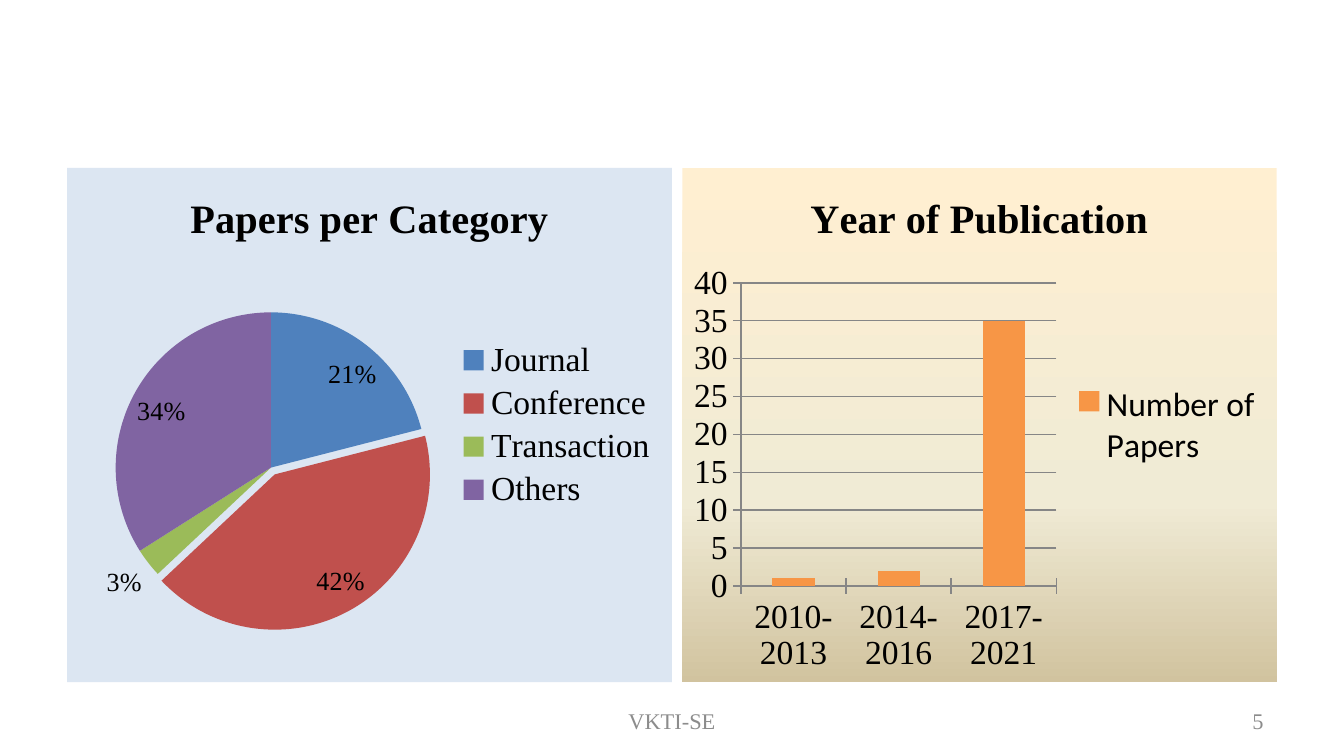
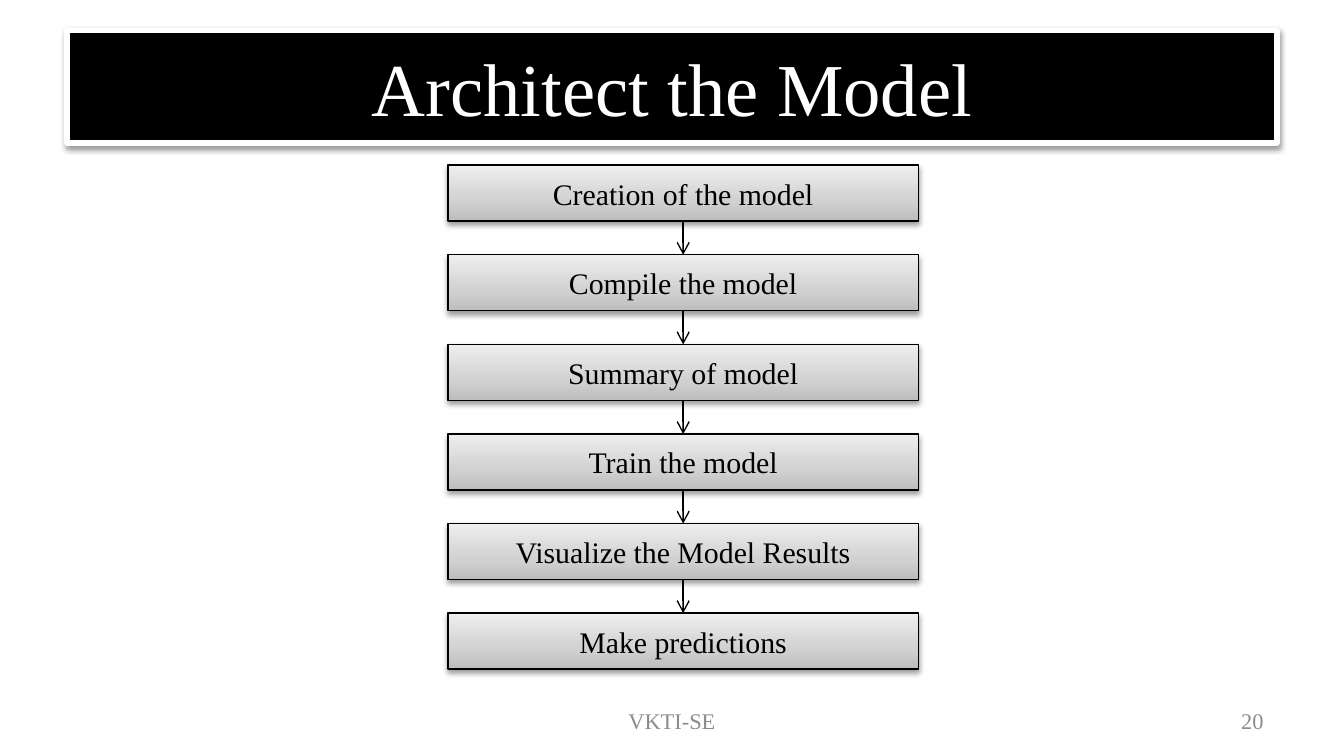
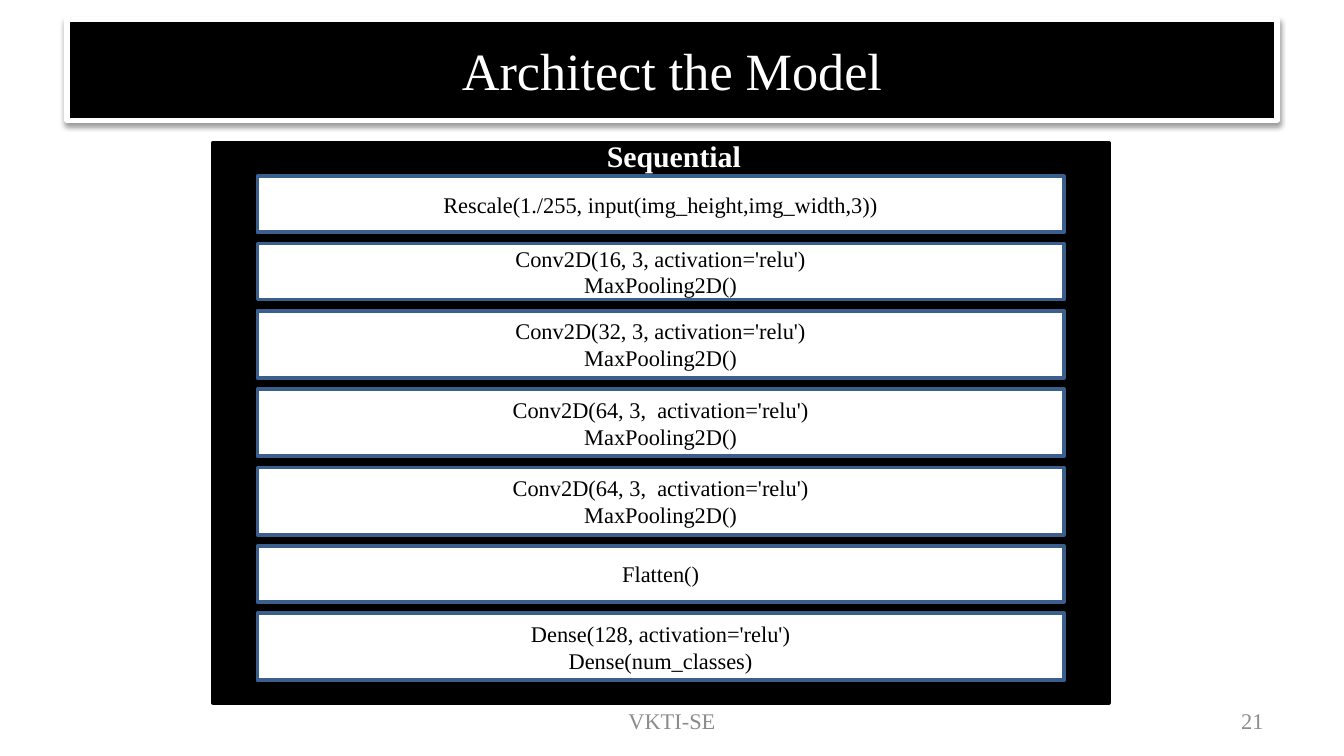
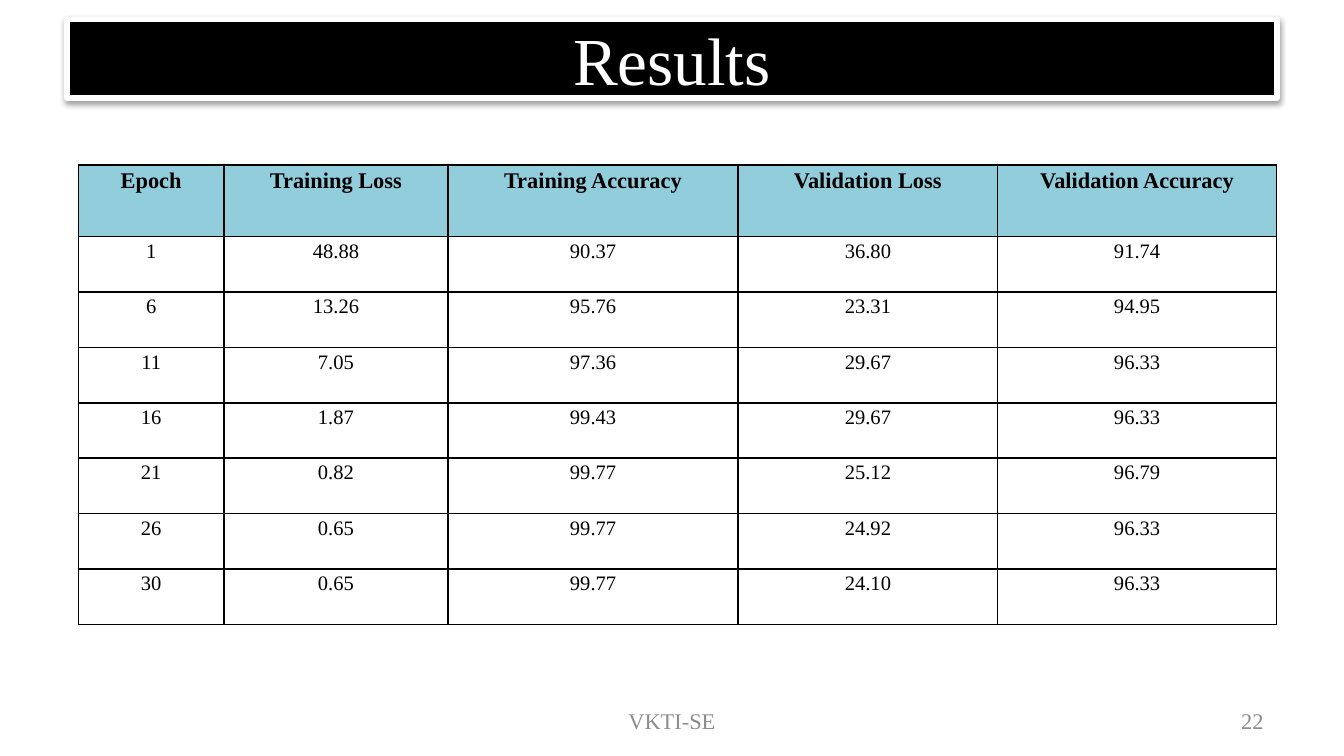
from typing import NamedTuple

from lxml.etree import SubElement
from pptx import Presentation
from pptx.chart.chart import Chart
from pptx.chart.data import CategoryChartData
from pptx.dml.color import RGBColor
from pptx.enum.chart import (XL_CHART_TYPE, XL_LABEL_POSITION,
                             XL_LEGEND_POSITION, XL_TICK_MARK)
from pptx.enum.shapes import MSO_CONNECTOR, MSO_SHAPE
from pptx.enum.text import MSO_ANCHOR, MSO_AUTO_SIZE, PP_ALIGN
from pptx.oxml import parse_xml
from pptx.oxml.ns import nsdecls, qn
from pptx.shapes.autoshape import Shape
from pptx.slide import Slide
from pptx.text.text import TextFrame
from pptx.util import Pt

SERIF = "Times New Roman"
SANS = "Calibri"
BLACK = "000000"
WHITE = "FFFFFF"
FOOTER_GREY = "8C8C8C"
AXIS_GREY = "868686"
LAYER_BLUE = "3A5F8C"
HEADER_BLUE = "92CDDC"
PIE_PANEL = "DCE6F2"
BAR_ORANGE = "F79646"
STEP_GRADIENT = [(0, "BDBDBD"), (35, "D1D1D1"), (100, "EEEEEE")]
YEAR_GRADIENT = [(0, "FFEFD1"), (65, "F0EBD5"), (100, "D1C39F")]
TITLE_ONLY, BLANK = 5, 6


class Box(NamedTuple):
    """A rectangle in points."""
    left: float
    top: float
    width: float
    height: float

    def lengths(self) -> list[Pt]:
        return [Pt(value) for value in self]


class Layer(NamedTuple):
    text: str
    height: float


class Share(NamedTuple):
    category: str
    percent: int
    color: str


FOOTER = Box(246, 375.25, 228, 21.5)
PAGE_NUMBER = Box(516, 375.25, 168, 21.5)

SHARES = [
    Share("Journal", 21, "4F81BD"),
    Share("Conference", 42, "C0504D"),
    Share("Transaction", 3, "9BBB59"),
    Share("Others", 34, "8064A2"),
]
PAPERS_BY_YEAR = {"2010-2013": 1, "2014-2016": 2, "2017-2021": 35}

STEPS = ["Creation of the model", "Compile the model", "Summary of model",
         "Train the model", "Visualize the Model Results", "Make predictions"]

LAYERS = [
    Layer("Rescale(1./255, input(img_height,img_width,3))", 30),
    Layer("Conv2D(16, 3, activation='relu')\nMaxPooling2D()", 30),
    Layer("Conv2D(32, 3, activation='relu')\nMaxPooling2D()", 36),
    Layer("Conv2D(64, 3,  activation='relu')\nMaxPooling2D()", 36),
    Layer("Conv2D(64, 3,  activation='relu')\nMaxPooling2D()", 36),
    Layer("Flatten()", 30),
    Layer("Dense(128, activation='relu')\nDense(num_classes)", 36),
]

RESULTS = [
    ("Epoch", "Training Loss", "Training Accuracy", "Validation Loss",
     "Validation Accuracy"),
    ("1", "48.88", "90.37", "36.80", "91.74"),
    ("6", "13.26", "95.76", "23.31", "94.95"),
    ("11", "7.05", "97.36", "29.67", "96.33"),
    ("16", "1.87", "99.43", "29.67", "96.33"),
    ("21", "0.82", "99.77", "25.12", "96.79"),
    ("26", "0.65", "99.77", "24.92", "96.33"),
    ("30", "0.65", "99.77", "24.10", "96.33"),
]
RESULT_WIDTHS = [78, 120, 155.5, 139, 149.5]
HEADER_HEIGHT, RESULT_HEIGHT = 38.25, 29.7


def rgb(color: str) -> RGBColor:
    return RGBColor.from_string(color)


def set_text(frame: TextFrame, text: str, *, size: float, color: str = BLACK,
             bold: bool = False, align: PP_ALIGN = PP_ALIGN.CENTER,
             anchor: MSO_ANCHOR = MSO_ANCHOR.MIDDLE, wrap: bool = True,
             spacing: float | None = None) -> None:
    frame.text = text
    frame.word_wrap = wrap
    frame.vertical_anchor = anchor
    for paragraph in frame.paragraphs:
        paragraph.alignment = align
        paragraph.line_spacing = spacing
        for run in paragraph.runs:
            run.font.name = SERIF
            run.font.size = Pt(size)
            run.font.bold = bold
            run.font.color.rgb = rgb(color)


def gradient_xml(stops: list[tuple[int, str]], angle: int) -> str:
    marks = "".join(
        f'<a:gs pos="{position * 1000}"><a:srgbClr val="{color}"/></a:gs>'
        for position, color in stops)
    return (f'<a:gradFill {nsdecls("a")} rotWithShape="1"><a:gsLst>{marks}</a:gsLst>'
            f'<a:lin ang="{angle * 60000}" scaled="0"/></a:gradFill>')


def solid_xml(color: str) -> str:
    return f'<a:solidFill {nsdecls("a")}><a:srgbClr val="{color}"/></a:solidFill>'


def style_shape(shape: Shape, fill: str, line: str, weight: float) -> None:
    shape.fill.solid()
    shape.fill.fore_color.rgb = rgb(fill)
    shape.line.color.rgb = rgb(line)
    shape.line.width = Pt(weight)
    shape.shadow.inherit = False


def cast_shadow(shape: Shape) -> None:
    effects = shape._element.spPr.find(qn("a:effectLst"))
    effects.append(parse_xml(
        f'<a:outerShdw {nsdecls("a")} blurRad="{Pt(3.1)}" dist="{Pt(1.6)}" '
        'dir="5400000" rotWithShape="0"><a:srgbClr val="000000">'
        '<a:alpha val="38000"/></a:srgbClr></a:outerShdw>'))


def add_box(slide: Slide, box: Box, fill: str, line: str, weight: float) -> Shape:
    shape = slide.shapes.add_shape(MSO_SHAPE.RECTANGLE, *box.lengths())
    style_shape(shape, fill, line, weight)
    return shape


def add_title(slide: Slide, text: str, box: Box, size: float) -> None:
    title = slide.shapes.title
    title.left, title.top, title.width, title.height = box.lengths()
    style_shape(title, BLACK, WHITE, 3)
    cast_shadow(title)
    set_text(title.text_frame, text, size=size, color=WHITE)
    title.text_frame.auto_size = MSO_AUTO_SIZE.NONE


def add_footer(slide: Slide, number: int) -> None:
    for box, text, align in ((FOOTER, "VKTI-SE", PP_ALIGN.CENTER),
                             (PAGE_NUMBER, str(number), PP_ALIGN.RIGHT)):
        footer = slide.shapes.add_textbox(*box.lengths())
        set_text(footer.text_frame, text, size=12, color=FOOTER_GREY, align=align)


def add_arrow(slide: Slide, upper: Shape, lower: Shape) -> None:
    """Join the bottom of one step to the top of the next."""
    arrow = slide.shapes.add_connector(MSO_CONNECTOR.STRAIGHT, 0, 0, 0, 0)
    arrow.begin_connect(upper, 2)
    arrow.end_connect(lower, 0)
    arrow.line.color.rgb = rgb(BLACK)
    arrow.line.width = Pt(0.75)
    SubElement(arrow.line._get_or_add_ln(), qn("a:tailEnd"), type="arrow")
    SubElement(arrow._element.spPr, qn("a:effectLst"))


def add_chart(slide: Slide, kind: XL_CHART_TYPE, box: Box, title: str, series: str,
              values: dict[str, int], panel_xml: str) -> Chart:
    data = CategoryChartData()
    data.categories = list(values)
    data.add_series(series, list(values.values()))
    chart = slide.shapes.add_chart(kind, *box.lengths(), data).chart
    chart.font.name = SANS
    chart.font.size = Pt(18)
    chart.font.color.rgb = rgb(BLACK)
    chart.has_title = True
    set_text(chart.chart_title.text_frame, title, size=21.6, bold=True)
    chart.chart_title.include_in_layout = False
    chart.has_legend = True
    chart.legend.position = XL_LEGEND_POSITION.RIGHT
    chart.legend.include_in_layout = False
    panel = parse_xml(f'<c:spPr {nsdecls("c", "a")}>{panel_xml}'
                      '<a:ln><a:noFill/></a:ln></c:spPr>')
    chart._chartSpace.find(qn("c:chart")).addnext(panel)
    return chart


def add_category_pie(slide: Slide) -> None:
    chart = add_chart(slide, XL_CHART_TYPE.PIE, Box(36, 90, 324, 275.5),
                      "Papers per Category", "Series 1",
                      {share.category: share.percent for share in SHARES},
                      solid_xml(PIE_PANEL))
    chart.legend.font.name = SERIF
    chart.legend.font.size = Pt(18)
    plot = chart.plots[0]
    plot.vary_by_categories = True
    for index, share in enumerate(SHARES):
        fill = plot.series[0].points[index].format.fill
        fill.solid()
        fill.fore_color.rgb = rgb(share.color)
    conference = plot.series[0]._element.findall(qn("c:dPt"))[1]
    conference.find(qn("c:spPr")).addprevious(
        parse_xml(f'<c:explosion {nsdecls("c")} val="5"/>'))
    labels = plot.series[0].data_labels
    labels.show_percentage = True
    labels.show_value = False
    labels.position = XL_LABEL_POSITION.BEST_FIT
    labels.font.name = SERIF
    labels.font.size = Pt(14)


def add_year_columns(slide: Slide) -> None:
    chart = add_chart(slide, XL_CHART_TYPE.COLUMN_CLUSTERED, Box(365.5, 90, 318.5, 275.5),
                      "Year of Publication", "Number of Papers", PAPERS_BY_YEAR,
                      gradient_xml(YEAR_GRADIENT, 90))
    plot = chart.plots[0]
    plot.vary_by_categories = False
    plot.gap_width = 150
    columns = plot.series[0].format.fill
    columns.solid()
    columns.fore_color.rgb = rgb(BAR_ORANGE)
    chart.value_axis.has_major_gridlines = True
    for axis in (chart.category_axis, chart.value_axis):
        axis.major_tick_mark = XL_TICK_MARK.CROSS
        axis.tick_labels.font.name = SERIF
        axis.tick_labels.font.size = Pt(18)
    for line in (chart.category_axis.format.line, chart.value_axis.format.line,
                 chart.value_axis.major_gridlines.format.line):
        line.color.rgb = rgb(AXIS_GREY)
        line.width = Pt(0.75)


def add_steps(slide: Slide) -> None:
    steps = []
    for index, text in enumerate(STEPS):
        step = add_box(slide, Box(240, 88.5 + 48 * index, 252, 30), WHITE, BLACK, 0.75)
        properties = step._element.spPr
        properties.replace(properties.find(qn("a:solidFill")),
                           parse_xml(gradient_xml(STEP_GRADIENT, 270)))
        cast_shadow(step)
        set_text(step.text_frame, text, size=16)
        steps.append(step)
    for upper, lower in zip(steps, steps[1:]):
        add_arrow(slide, upper, lower)


def add_layers(slide: Slide) -> None:
    add_box(slide, Box(114, 76.5, 480, 300), BLACK, BLACK, 2)
    heading = slide.shapes.add_textbox(*Box(318, 70.5, 87, 26.6).lengths())
    set_text(heading.text_frame, "Sequential", size=16, color=WHITE, bold=True,
             align=PP_ALIGN.LEFT, anchor=MSO_ANCHOR.TOP, wrap=False)
    heading.text_frame.auto_size = MSO_AUTO_SIZE.SHAPE_TO_FIT_TEXT
    top, gap = 94.5, 6
    for layer in LAYERS:
        bar = add_box(slide, Box(138, top, 432, layer.height), WHITE, LAYER_BLUE, 2)
        set_text(bar.text_frame, layer.text, size=12)
        top += layer.height + gap


def add_results(slide: Slide) -> None:
    height = HEADER_HEIGHT + RESULT_HEIGHT * (len(RESULTS) - 1)
    area = Box(42, 88.5, sum(RESULT_WIDTHS), height)
    table = slide.shapes.add_table(len(RESULTS), len(RESULT_WIDTHS), *area.lengths()).table
    table.horz_banding = False
    for column, width in zip(table.columns, RESULT_WIDTHS):
        column.width = Pt(width)
    for row_index, values in enumerate(RESULTS):
        header = row_index == 0
        table.rows[row_index].height = Pt(HEADER_HEIGHT if header else RESULT_HEIGHT)
        for column_index, value in enumerate(values):
            cell = table.cell(row_index, column_index)
            cell.margin_left = cell.margin_right = Pt(5)
            cell.margin_top = cell.margin_bottom = Pt(0)
            set_text(cell.text_frame, value, size=12 if header else 11, bold=header,
                     anchor=MSO_ANCHOR.TOP, spacing=1.15)
            if header:
                cell.fill.solid()
                cell.fill.fore_color.rgb = rgb(HEADER_BLUE)
            else:
                cell.fill.background()
            for position, side in enumerate(("lnL", "lnR", "lnT", "lnB")):
                cell._tc.get_or_add_tcPr().insert(position, parse_xml(
                    f'<a:{side} {nsdecls("a")} w="{Pt(1)}">{solid_xml(BLACK)}</a:{side}>'))


def main() -> None:
    presentation = Presentation()
    presentation.slide_width, presentation.slide_height = Pt(720), Pt(405)

    def new_slide(layout: int, number: int) -> Slide:
        slide = presentation.slides.add_slide(presentation.slide_layouts[layout])
        add_footer(slide, number)
        return slide

    papers = new_slide(BLANK, 5)
    add_category_pie(papers)
    add_year_columns(papers)

    workflow = new_slide(TITLE_ONLY, 20)
    add_title(workflow, "Architect the Model", Box(36, 16.25, 648, 60.25), 40)
    add_steps(workflow)

    network = new_slide(TITLE_ONLY, 21)
    add_title(network, "Architect the Model", Box(36, 10.5, 648, 54), 28)
    add_layers(network)

    results = new_slide(TITLE_ONLY, 22)
    add_title(results, "Results", Box(36, 10.5, 648, 42), 36)
    add_results(results)

    presentation.save("out.pptx")


if __name__ == "__main__":
    main()
